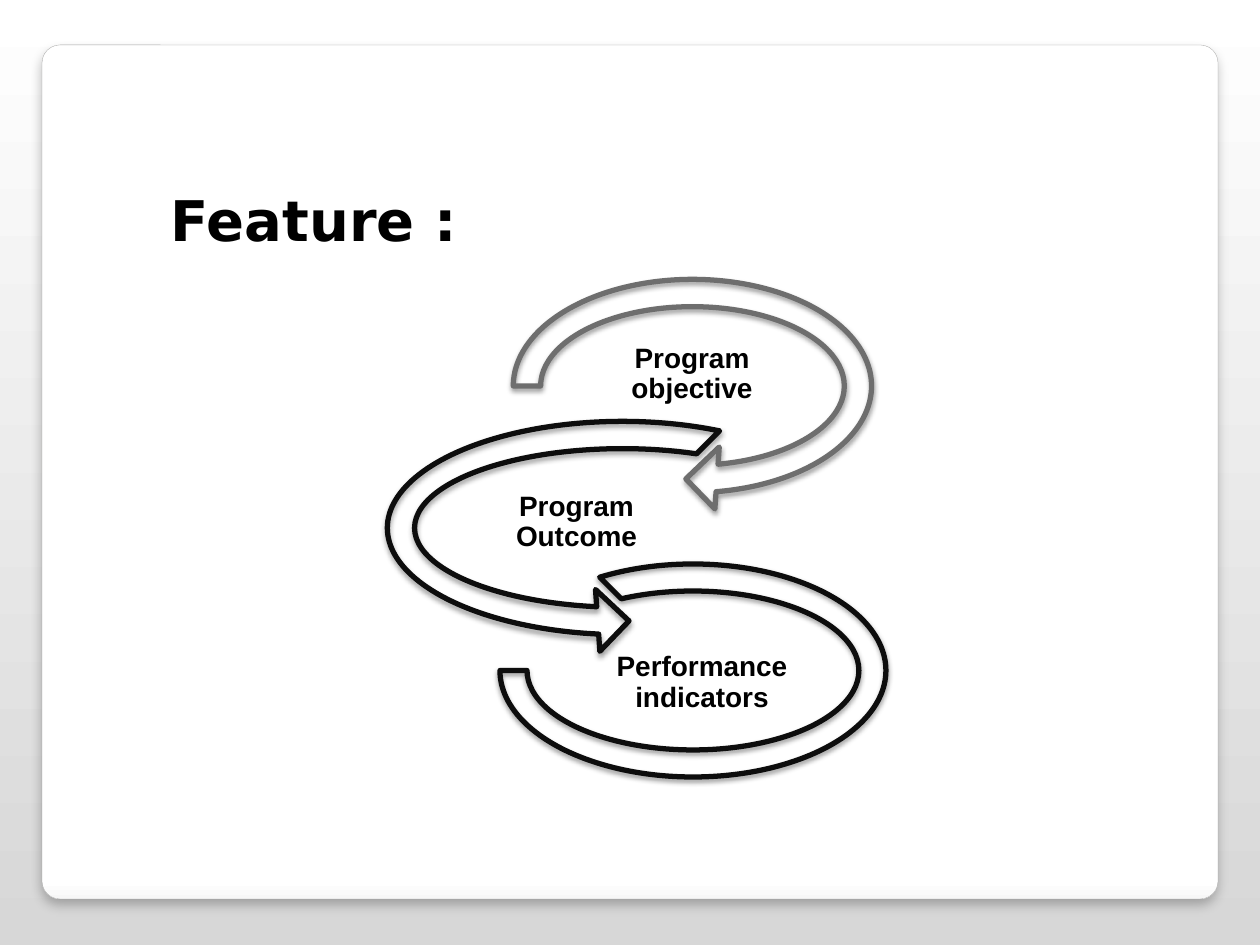
from pptx import Presentation
from pptx.dml.color import RGBColor
from pptx.enum.shapes import MSO_SHAPE
from pptx.enum.text import MSO_ANCHOR, MSO_AUTO_SIZE, PP_ALIGN
from pptx.oxml import parse_xml
from pptx.oxml.ns import nsdecls, qn
from pptx.util import Emu, Pt

SCALE = 914400 / 126


def px(n):
    return Emu(round(n * SCALE))


def tint(code):
    return RGBColor.from_string(code)


def apply(item, values):
    for name, value in values.items():
        setattr(item, name, value)


def blend(fill, angle, stops):
    fill.gradient()
    fill.gradient_angle = angle
    for stop, (place, code) in zip(fill.gradient_stops, stops):
        stop.position = place
        stop.color.rgb = tint(code)


class Board:
    """Holds the shared style and the current slide."""

    ink = "000000"
    pad = ("margin_left", "margin_top", "margin_right", "margin_bottom")

    def __init__(self, slide):
        self.slide = slide
        self.shapes = slide.shapes

    def outline(self, kind, box, adjust, line, shadow):
        """Add a preset shape with an outline and a soft shadow below it."""
        shape = self.shapes.add_shape(kind, *map(px, box))
        for i, value in enumerate(adjust):
            shape.adjustments[i] = value
        code, width = line
        shape.line.color.rgb = tint(code)
        shape.line.width = Pt(width)
        shape.shadow.inherit = False
        alpha, blur, drop = shadow
        shape.element.spPr.find(qn("a:effectLst")).append(parse_xml(
            f'<a:outerShdw {nsdecls("a")} blurRad="{Pt(blur)}" dist="{Pt(drop)}" '
            f'dir="5400000" rotWithShape="0"><a:srgbClr val="{self.ink}">'
            f'<a:alpha val="{alpha * 1000}"/></a:srgbClr></a:outerShdw>'))
        return shape

    def card(self, box):
        shape = self.outline(MSO_SHAPE.ROUNDED_RECTANGLE, box, [0.021],
                             ("A4A4A3", 0.16), (25, 6, 4))
        blend(shape.fill, 270, [(0.98, "FFFFFF"), (1, "F7F7F7")])
        # Send the card behind the title
        self.shapes.element.insert(2, shape.element)

    def arc(self, kind, box, adjust, code):
        shape = self.outline(kind, box, adjust, (code, 3), (38, 3.1, 1.6))
        shape.fill.background()

    def letter(self, frame, text, frame_set, para_set, font_set):
        frame.text = text
        para = frame.paragraphs[0]
        font = para.runs[0].font
        apply(frame, {"word_wrap": True, "auto_size": MSO_AUTO_SIZE.NONE,
                      **frame_set})
        apply(para, para_set)
        apply(font, {"bold": True, **font_set})
        font.color.rgb = tint(self.ink)

    def title(self, text, box):
        shape = self.shapes.title
        apply(shape, dict(zip(("left", "top", "width", "height"), map(px, box))))
        self.letter(shape.text_frame, text,
                    {"vertical_anchor": MSO_ANCHOR.TOP},
                    {"alignment": PP_ALIGN.JUSTIFY},
                    {"name": "DejaVu Sans", "size": Pt(32)})

    def label(self, text, box):
        shape = self.shapes.add_textbox(*map(px, box))
        self.letter(shape.text_frame, text,
                    {"vertical_anchor": MSO_ANCHOR.MIDDLE,
                     **dict.fromkeys(self.pad, px(1))},
                    {"alignment": PP_ALIGN.CENTER, "line_spacing": 0.9},
                    {"name": "Arial", "size": Pt(16)})


def main():
    deck = Presentation()
    deck.slide_width, deck.slide_height = px(1260), px(945)
    slide = deck.slides.add_slide(deck.slide_layouts[5])
    board = Board(slide)

    # Backdrop, card and title
    blend(slide.background.fill, 90, [(0, "D7D7D7"), (1, "FFFFFF")])
    board.card((42, 45, 1176, 854))
    board.title("Feature :", (158, 179, 1061, 260))

    # Chain of three linked arcs, each with its label
    chain = [
        (MSO_SHAPE.CIRCULAR_ARROW, (496, 262, 393, 248),
         (0.11, 11.42, 45, 108, 0.125), "6E6E6E",
         "Program objective", (602, 330, 180, 89)),
        (MSO_SHAPE.LEFT_CIRCULAR_ARROW, (370, 404, 505, 248),
         (0.11, 11.42, 63, 189, 0.125), "0D0D0D",
         "Program Outcome", (465, 488, 223, 69)),
        (MSO_SHAPE.BLOCK_ARC, (500, 564, 386, 213),
         (135, 108, 0.127), "0D0D0D",
         "Performance indicators", (597, 630, 210, 106)),
    ]
    for kind, box, adjust, code, text, spot in chain:
        board.arc(kind, box, adjust, code)
        board.label(text, spot)

    deck.save("out.pptx")


if __name__ == "__main__":
    main()
